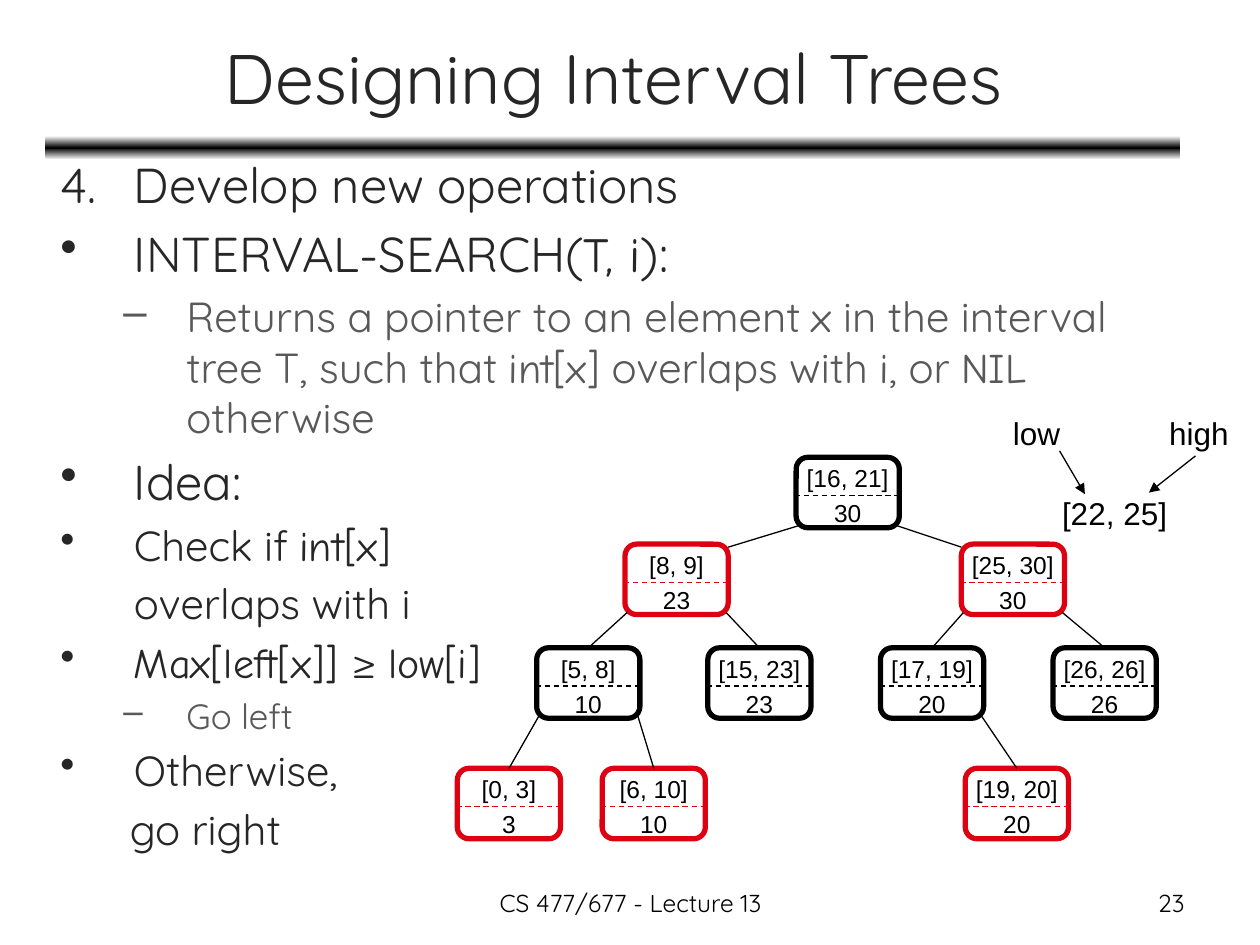
from copy import deepcopy
from dataclasses import dataclass

from lxml.etree import SubElement
from pptx import Presentation
from pptx.dml.color import RGBColor
from pptx.enum.dml import MSO_LINE
from pptx.enum.shapes import MSO_CONNECTOR, MSO_SHAPE
from pptx.enum.text import MSO_ANCHOR, MSO_AUTO_SIZE, PP_ALIGN
from pptx.oxml.ns import qn
from pptx.util import Cm, Pt


@dataclass(frozen=True)
class Theme:
    heading: str = "Quicksand"
    code: str = "Comic Neue"
    label: str = "Arial"
    dark: str = "262626"
    grey: str = "595959"
    black: str = "000000"
    white: str = "FFFFFF"
    red: str = "DD0111"
    title_size: int = 40
    large: int = 28
    medium: int = 24
    small: int = 20
    label_size: int = 18
    node_size: int = 14


NODE_W, NODE_H, DIVIDER_Y = 2.08, 1.42, 0.77
ROW_TOPS = (9.22, 10.97, 13.06, 15.49)


def add_run(p, text, font, size, color):
    r = p.add_run()
    r.text = text
    r.font.name = font
    r.font.size = Pt(size)
    r.font.color.rgb = RGBColor.from_string(color)


class SlideBuilder:
    def __init__(self, s, theme):
        self.s, self.t = s, theme

    def title(self, text, x, y, w, h):
        sp = self.s.shapes.title
        sp.left, sp.top, sp.width, sp.height = Cm(x), Cm(y), Cm(w), Cm(h)
        tf = sp.text_frame
        tf.auto_size = MSO_AUTO_SIZE.NONE
        tf.vertical_anchor = MSO_ANCHOR.MIDDLE
        p = tf.paragraphs[0]
        p.alignment = PP_ALIGN.CENTER
        add_run(p, text, self.t.heading, self.t.title_size, self.t.dark)

    def rule(self, x, y, w, h):
        sp = self.s.shapes.add_shape(MSO_SHAPE.ROUNDED_RECTANGLE, Cm(x), Cm(y), Cm(w), Cm(h))
        sp.shadow.inherit = False
        sp.line.fill.background()
        sp.fill.gradient()
        sp.fill.gradient_angle = 90
        stops = sp.element.spPr.find(f"{qn('a:gradFill')}/{qn('a:gsLst')}")
        stops.append(deepcopy(stops[0]))
        colors = (self.t.white, self.t.black, self.t.white)
        for i, (stop, color) in enumerate(zip(sp.fill.gradient_stops, colors)):
            stop.position = i / 2
            stop.color.rgb = RGBColor.from_string(color)

    def text(self, text, x, y, w, h, font, size, align=PP_ALIGN.LEFT, wrap=True):
        tf = self.s.shapes.add_textbox(Cm(x), Cm(y), Cm(w), Cm(h)).text_frame
        tf.word_wrap = wrap
        p = tf.paragraphs[0]
        p.alignment = align
        add_run(p, text, font, size, self.t.black)

    def outline(self, rows, x, y, w, h):
        tf = self.s.shapes.add_textbox(Cm(x), Cm(y), Cm(w), Cm(h)).text_frame
        tf.word_wrap = True
        for i, (bullet, margin, size, text) in enumerate(rows):
            p = tf.paragraphs[0] if i == 0 else tf.add_paragraph()
            p.space_before = Pt(size * 0.2 if i else 0)
            dash = bullet == "–"
            p.level = 1 if dash else 0
            self.bullet(p, bullet, margin, 1.27 if dash else margin)
            for j, part in enumerate(text.split("|")):
                if part:
                    add_run(p, part, self.t.code if j % 2 else self.t.heading, size,
                            self.t.grey if dash else self.t.dark)

    def bullet(self, p, bullet, margin, hang):
        pPr = p._p.get_or_add_pPr()
        pPr.set("marL", str(Cm(margin)))
        pPr.set("indent", str(-Cm(hang) if bullet else 0))
        if not bullet:
            SubElement(pPr, qn("a:buNone"))
        elif bullet[0].isdigit():
            SubElement(pPr, qn("a:buAutoNum"), type="arabicPeriod", startAt=bullet[:-1])
        else:
            SubElement(pPr, qn("a:buChar"), char=bullet)

    def line(self, start, end, color=None, dashed=False, arrow=False, shapes=None):
        shapes = shapes or self.s.shapes
        points = [Cm(v) for v in (*start, *end)]
        c = shapes.add_connector(MSO_CONNECTOR.STRAIGHT, *points)
        c.line.color.rgb = RGBColor.from_string(color or self.t.black)
        c.line.width = Pt(0.75)
        if dashed:
            c.line.dash_style = MSO_LINE.DASH
        if arrow:
            SubElement(c.line._get_or_add_ln(), qn("a:tailEnd"), type="triangle")
        SubElement(c.element.spPr, qn("a:effectLst"))
        return c

    def node(self, interval, maximum, x, depth):
        y = ROW_TOPS[depth]
        color = self.t.red if depth % 2 else self.t.black
        group = self.s.shapes.add_group_shape()
        sp = group.shapes.add_shape(MSO_SHAPE.ROUNDED_RECTANGLE, Cm(x), Cm(y), Cm(NODE_W), Cm(NODE_H))
        sp.shadow.inherit = False
        sp.fill.background()
        sp.line.color.rgb = RGBColor.from_string(color)
        sp.line.width = Pt(3)
        tf = sp.text_frame
        tf.word_wrap = False
        tf.vertical_anchor = MSO_ANCHOR.MIDDLE
        for p, text in ((tf.paragraphs[0], interval), (tf.add_paragraph(), maximum)):
            p.alignment = PP_ALIGN.CENTER
            p.line_spacing = 1.2
            add_run(p, text, self.t.label, self.t.node_size, self.t.black)
        mid = y + DIVIDER_Y
        self.line((x - 0.02, mid), (x + NODE_W + 0.02, mid), color, dashed=True, shapes=group.shapes)
        return sp

    def edge(self, parent_x, child_x, depth, child):
        to_left = child_x < parent_x
        start = (parent_x + (0.04 if to_left else NODE_W - 0.04), ROW_TOPS[depth - 1] + NODE_H - 0.04)
        end = (child_x + (NODE_W if to_left else 0), ROW_TOPS[depth] + 0.06)
        c = self.line(start, end)
        if depth > 1:
            c.end_connect(child, 0)


def main():
    prs = Presentation()
    prs.slide_width, prs.slide_height = Cm(25.4), Cm(19.05)
    t = Theme()
    b = SlideBuilder(prs.slides.add_slide(prs.slide_layouts[5]), t)

    b.rule(0.91, 2.74, 22.89, 0.48)
    b.title("Designing Interval Trees", 0.94, 0.28, 22.86, 2.51)
    b.outline([
        ("4.", 1.48, t.large, "Develop new operations"),
        ("•", 1.48, t.large, "INTERVAL-SEARCH(|T, i|):"),
        ("–", 2.54, t.medium, "Returns a pointer to an element |x| in the interval tree T, "
                              "such that |int[x]| overlaps with |i|, or |NIL| otherwise"),
        ("•", 1.48, t.large, "Idea:"),
        ("•", 1.48, t.medium, "Check if |int[x]"),
        ("", 1.48, t.medium, "overlaps with i"),
        ("•", 1.48, t.medium, "|Max[left[x]] |≥ |low[i]"),
        ("–", 2.54, t.small, "Go left"),
        ("•", 1.48, t.medium, "Otherwise,"),
        ("", 1.4, t.medium, "go right"),
    ], 0.97, 3.0, 22.73, 14.1)

    tree = {
        "[16, 21]": ("30", 16.05, 0, None),
        "[8, 9]": ("23", 12.6, 1, "[16, 21]"),
        "[25, 30]": ("30", 19.38, 1, "[16, 21]"),
        "[5, 8]": ("10", 10.82, 2, "[8, 9]"),
        "[15, 23]": ("23", 14.27, 2, "[8, 9]"),
        "[17, 19]": ("20", 17.75, 2, "[25, 30]"),
        "[26, 26]": ("26", 21.23, 2, "[25, 30]"),
        "[0, 3]": ("3", 9.22, 3, "[5, 8]"),
        "[6, 10]": ("10", 12.14, 3, "[5, 8]"),
        "[19, 20]": ("20", 19.46, 3, "[17, 19]"),
    }
    for interval, (maximum, x, depth, parent) in tree.items():
        sp = b.node(interval, maximum, x, depth)
        if parent:
            b.edge(tree[parent][1], x, depth, sp)

    for text, x, y, w in (("[22, 25]", 21.16, 9.83, 2.62), ("high", 23.32, 8.23, 1.7), ("low", 20.17, 8.23, 1.47)):
        b.text(text, x, y, w, 1.02, t.label, t.label_size, wrap=False)
    b.line((24.1, 9.19), (23.16, 9.93), arrow=True)
    b.line((21.36, 9.09), (21.87, 9.96), arrow=True)

    b.text("CS 477/677 - Lecture 13", 8.69, 17.78, 8.05, 0.89, t.heading, t.node_size, PP_ALIGN.CENTER)
    b.text("23", 18.21, 17.78, 5.92, 0.89, t.heading, t.node_size, PP_ALIGN.RIGHT)
    prs.save("out.pptx")


if __name__ == "__main__":
    main()
